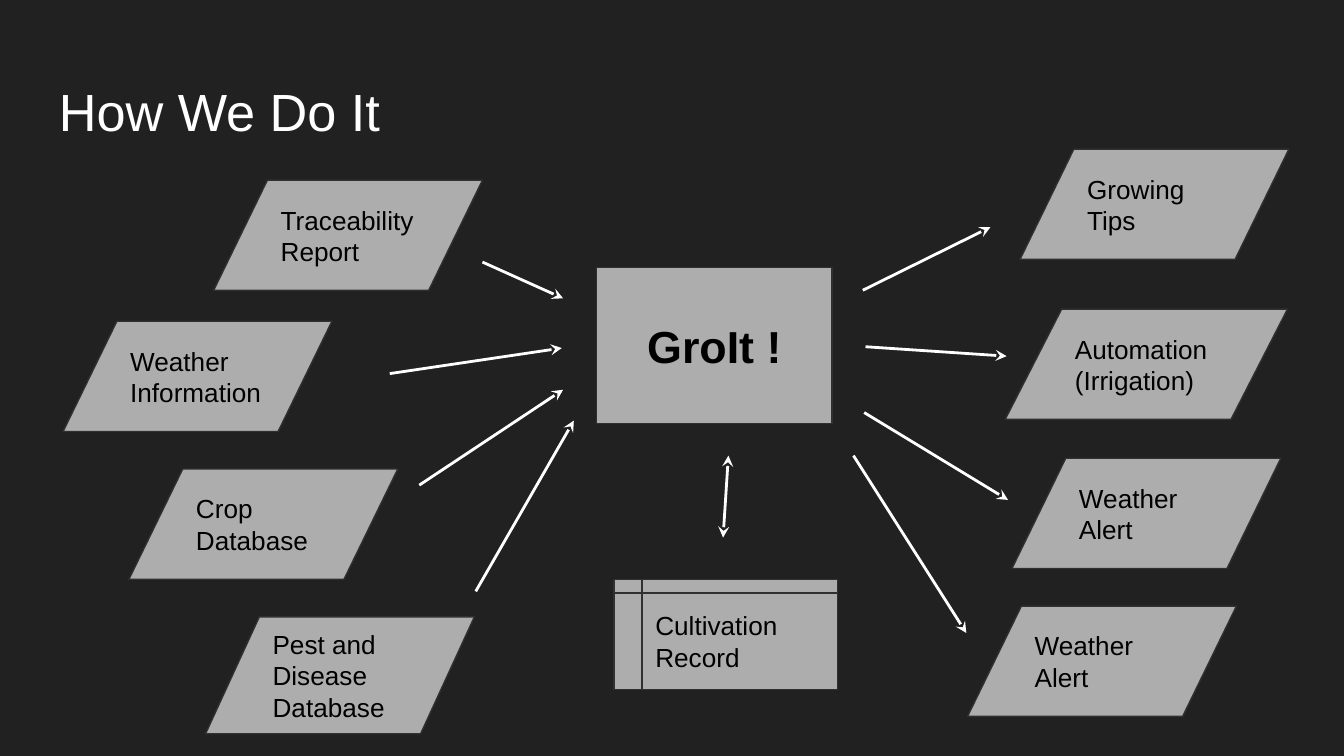
from lxml import etree
from pptx import Presentation
from pptx.dml.color import RGBColor
from pptx.enum.shapes import MSO_CONNECTOR, MSO_SHAPE
from pptx.enum.text import MSO_ANCHOR, PP_ALIGN
from pptx.oxml.ns import qn
from pptx.util import Inches, Pt

DATA = MSO_SHAPE.FLOWCHART_DATA
PROCESS = MSO_SHAPE.FLOWCHART_PROCESS
STORAGE = MSO_SHAPE.FLOWCHART_INTERNAL_STORAGE
STRAIGHT = MSO_CONNECTOR.STRAIGHT
LEFT, CENTER = PP_ALIGN.LEFT, PP_ALIGN.CENTER
TOP, MIDDLE = MSO_ANCHOR.TOP, MSO_ANCHOR.MIDDLE

WIDTH = Inches(10)
HEIGHT = WIDTH * 9 // 16
COLUMNS = 100  # square grid cells across the slide
NODE_WIDTH, NODE_HEIGHT = 20, 8.2

BACKGROUND, WHITE, BLACK = "212121", "FFFFFF", "000000"
NODE_FILL, NODE_LINE = "ADADAD", "303030"

# Text, left, top, width, height
DATA_NODES = [
    ("Traceability Report", 15.9, 13.4, NODE_WIDTH, NODE_HEIGHT),
    ("Weather Information", 4.7, 23.9, NODE_WIDTH, NODE_HEIGHT),
    ("Crop Database", 9.6, 34.9, NODE_WIDTH, NODE_HEIGHT),
    ("Pest and Disease Database", 15.3, 45.9, NODE_WIDTH, 8.7),
    ("Growing Tips", 75.9, 11.1, NODE_WIDTH, NODE_HEIGHT),
    ("Automation (Irrigation)", 74.8, 23, 21, NODE_HEIGHT),
    ("Weather Alert", 75.3, 34.1, NODE_WIDTH, NODE_HEIGHT),
    ("Weather Alert", 72, 45.1, NODE_WIDTH, NODE_HEIGHT),
]

# Start column and row, end column and row
INPUT_ARROWS = [
    (35.9, 19.5, 41.9, 22.2),
    (29, 27.8, 41.8, 25.9),
    (31.2, 36.1, 41.9, 29),
    (35.4, 44, 42.7, 31.3),
]
OUTPUT_ARROWS = [
    (64.2, 21.6, 73.7, 16.9),
    (64.4, 25.8, 74.9, 26.5),
    (64.3, 30.7, 75, 37.2),
    (63.5, 33.9, 71.9, 47.1),
]
RECORD_ARROW = (53.8, 40, 54.2, 33.9)


def color(hex_code):
    return RGBColor.from_string(hex_code)


def cells(*counts):
    """Turn counts of grid cells into lengths."""
    return [round(count * WIDTH / COLUMNS) for count in counts]


def write(box, text, size, hex_code, anchor=MIDDLE, align=LEFT, bold=False):
    frame = box.text_frame
    frame.word_wrap = True
    frame.vertical_anchor = anchor
    frame.margin_left = frame.margin_right = Inches(0.1)
    frame.margin_top = frame.margin_bottom = Inches(0.1)
    para = frame.paragraphs[0]
    para.text = text
    para.alignment = align
    para.font.name = "Arial"
    para.font.size = Pt(size)
    para.font.bold = bold
    para.font.color.rgb = color(hex_code)


def add_title(page, text):
    box = page.shapes.add_textbox(*cells(3.4, 4.9, 93.2, 6.3))
    write(box, text, 28, WHITE, anchor=TOP)


def add_node(page, kind, text, place, size=14, **style):
    node = page.shapes.add_shape(kind, *cells(*place))
    node.shadow.inherit = False
    node.fill.solid()
    node.fill.fore_color.rgb = color(NODE_FILL)
    node.line.color.rgb = color(NODE_LINE)
    node.line.width = Pt(0.75)
    write(node, text, size, BLACK, **style)


def add_arrow(page, ends, both_ways=False):
    arrow = page.shapes.add_connector(STRAIGHT, *cells(*ends))
    arrow.line.color.rgb = color(WHITE)
    arrow.line.width = Pt(1.5)
    properties = arrow.element.spPr
    line = properties.find(qn("a:ln"))
    for tag in ("a:headEnd", "a:tailEnd") if both_ways else ("a:tailEnd",):
        etree.SubElement(line, qn(tag), type="stealth")
    etree.SubElement(properties, qn("a:effectLst"))


def main():
    deck = Presentation()
    deck.slide_width, deck.slide_height = WIDTH, HEIGHT
    page = deck.slides.add_slide(deck.slide_layouts[6])
    page.background.fill.solid()
    page.background.fill.fore_color.rgb = color(BACKGROUND)

    add_title(page, "How We Do It")
    for text, *place in DATA_NODES:
        add_node(page, DATA, text, place)
    add_node(page, PROCESS, "GroIt !", (44.4, 19.9, 17.5, 11.6),
             size=24, align=CENTER, bold=True)
    add_node(page, STORAGE, "Cultivation Record", (45.7, 43.1, 16.6, NODE_HEIGHT))
    for ends in INPUT_ARROWS + OUTPUT_ARROWS:
        add_arrow(page, ends)
    add_arrow(page, RECORD_ARROW, both_ways=True)

    deck.save("out.pptx")


if __name__ == "__main__":
    main()
